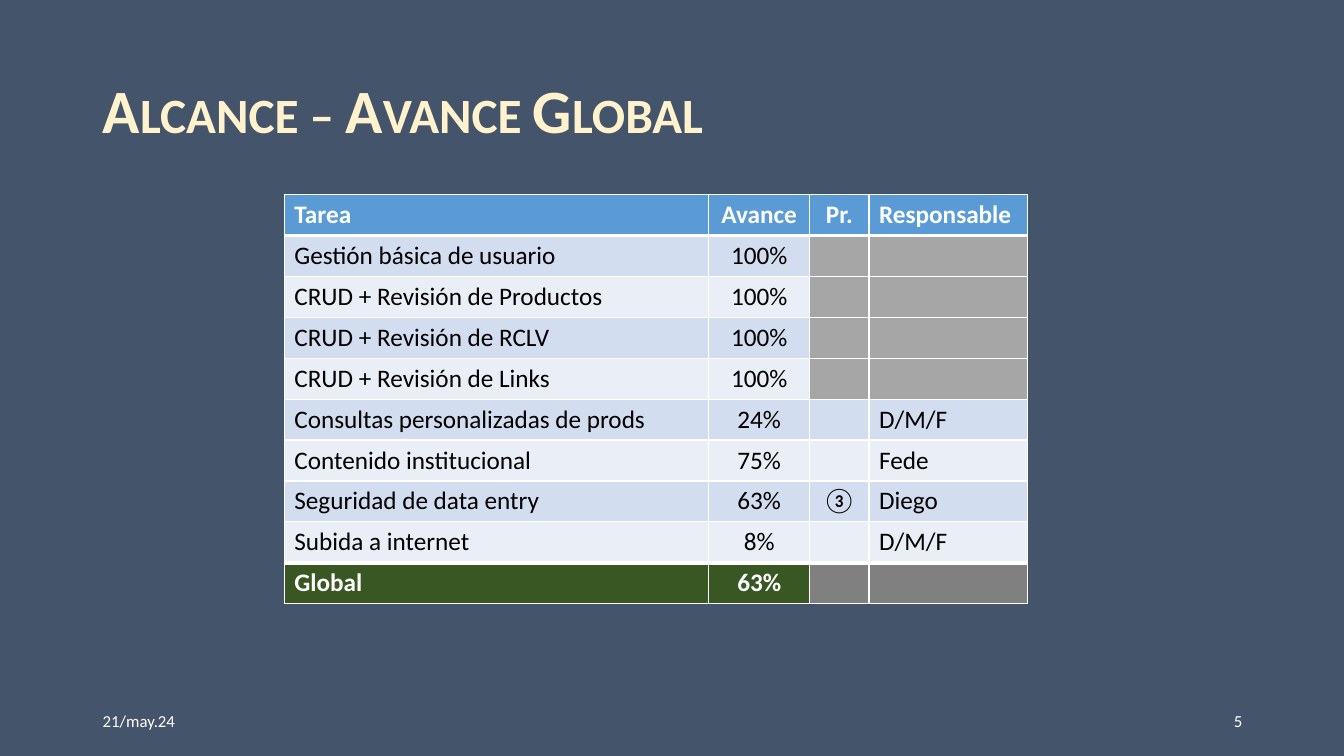
from lxml import etree
from pptx import Presentation
from pptx.dml.color import RGBColor
from pptx.enum import text as t
from pptx.oxml import ns
from pptx.util import Inches, Pt

INK = {
    "back": "44546A", "title": "FFF2CC", "white": "FFFFFF", "black": "000000",
    "head": "5B9BD5", "odd": "D2DEEF", "even": "EAEFF7", "done": "A6A6A6",
    "total": "385723", "blank": "808080",
}
LEFT, MID, RIGHT = t.PP_ALIGN.LEFT, t.PP_ALIGN.CENTER, t.PP_ALIGN.RIGHT


def write(frame, words, size, ink, bold=False, align=LEFT):
    """Put one styled run in the first paragraph and return the run."""
    para = frame.paragraphs[0]
    para.alignment = align
    run = para.add_run()
    run.text = words
    run.font.name = "Calibri"
    run.font.size = Pt(size)
    run.font.bold = bold
    run.font.color.rgb = RGBColor.from_string(INK[ink])
    return run


def edge(cell, side, width):
    """Draw a white border on one side of a cell."""
    line = etree.SubElement(cell._tc.get_or_add_tcPr(), ns.qn("a:ln" + side), w=str(Pt(width)))
    fill = etree.SubElement(line, ns.qn("a:solidFill"))
    etree.SubElement(fill, ns.qn("a:srgbClr"), val=INK["white"])


deck = Presentation()
deck.slide_width, deck.slide_height = Inches(13.33), Inches(7.5)
slide = deck.slides.add_slide(deck.slide_layouts[6])
slide.background.fill.solid()
slide.background.fill.fore_color.rgb = RGBColor.from_string(INK["back"])

# Title, date and page number
labels = [
    ("Alcance – Avance Global", 0.92, 0.74, 11.5, 0.77, 44, "title", True, LEFT),
    ("21/may.24", 0.92, 6.95, 3, 0.4, 12, "white", False, LEFT),
    ("5", 9.42, 6.95, 3, 0.4, 12, "white", False, RIGHT),
]
for words, x, y, w, h, size, ink, bold, align in labels:
    box = slide.shapes.add_textbox(Inches(x), Inches(y), Inches(w), Inches(h))
    frame = box.text_frame
    frame.word_wrap = True
    frame.vertical_anchor = t.MSO_ANCHOR.MIDDLE
    run = write(frame, words, size, ink, bold, align)
    if ink == "title":
        frame.paragraphs[0].line_spacing = 0.9
        run.font._element.set("cap", "small")

# Progress table
rows = [
    ("Tarea", "Avance", "Pr.", "Responsable"),
    ("Gestión básica de usuario", "100%", "", ""),
    ("CRUD + Revisión de Productos", "100%", "", ""),
    ("CRUD + Revisión de RCLV", "100%", "", ""),
    ("CRUD + Revisión de Links", "100%", "", ""),
    ("Consultas personalizadas de prods", "24%", "", "D/M/F"),
    ("Contenido institucional", "75%", "", "Fede"),
    ("Seguridad de data entry", "63%", "③", "Diego"),
    ("Subida a internet", "8%", "", "D/M/F"),
    ("Global", "63%", "", ""),
]
widths = [4.21, 1, 0.59, 1.57]
aligns = [LEFT, MID, MID, LEFT]
last = len(rows) - 1
high = 4.06 / len(rows)

grid = slide.shapes.add_table(len(rows), len(widths), Inches(2.82), Inches(1.93),
                              Inches(sum(widths)), Inches(4.06)).table
for col, width in zip(grid.columns, widths):
    col.width = Inches(width)

for r, row in enumerate(rows):
    grid.rows[r].height = Inches(high)
    strong = r in (0, last)
    for c, words in enumerate(row):
        cell = grid.cell(r, c)
        if r == 0:
            fill = "head"
        elif r == last:
            fill = "total" if c < 2 else "blank"
        elif c > 1 and row[1] == "100%":
            fill = "done"
        else:
            fill = "odd" if r % 2 else "even"
        for side in "LRTB":
            thick = (r, side) in ((0, "B"), (1, "T"), (last - 1, "B"), (last, "T"))
            edge(cell, side, 3 if thick else 1)
        cell.fill.solid()
        cell.fill.fore_color.rgb = RGBColor.from_string(INK[fill])
        if words:
            write(cell.text_frame, words, 18, "white" if strong else "black", strong, aligns[c])
        else:
            cell.text_frame.paragraphs[0].font.size = Pt(18)

deck.save("out.pptx")
